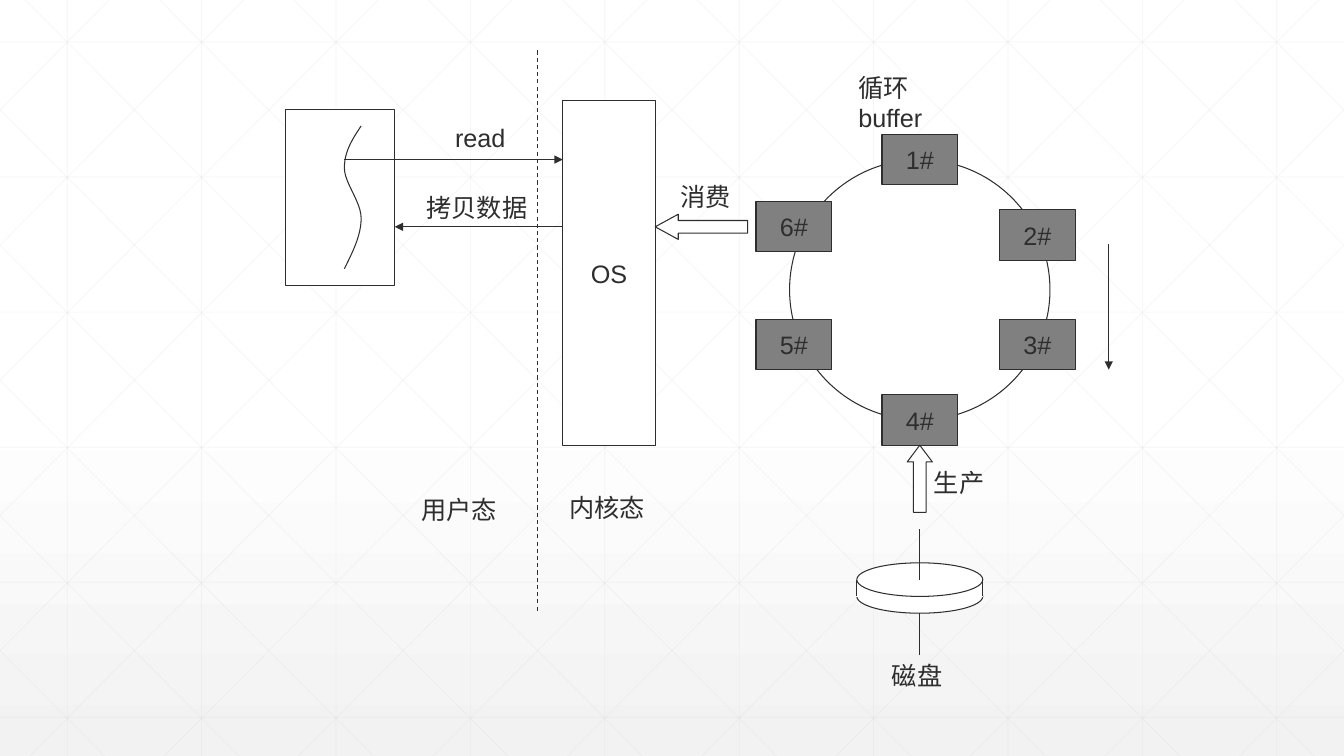
from copy import deepcopy

from lxml import etree
from pptx import Presentation
from pptx import util as u
from pptx.dml.color import RGBColor
from pptx.enum import dml, shapes, text
from pptx.oxml.ns import qn

COLS, ROWS = 160, 90
CELL = u.Inches(1) / 12
INK, PAPER, BLOCK, LATTICE = "2D2E2D", "FFFFFF", "808080", "D9D9D9"
BACKDROP = ((0, PAPER), (0.53, PAPER), (1, "F2F2F2"))
FONT = {"name": "Arial", "size": u.Pt(18)}
CENTRED = {"word_wrap": False, "vertical_anchor": text.MSO_ANCHOR.MIDDLE}
LABEL = {"word_wrap": False, "auto_size": text.MSO_AUTO_SIZE.SHAPE_TO_FIT_TEXT}
WRAPPED = {"word_wrap": True}
KIND = shapes.MSO_SHAPE


def cells(*values):
    return [u.Emu(round(v * CELL)) for v in values]


def colour(value):
    return RGBColor.from_string(value)


def apply(target, values):
    for name, value in values.items():
        setattr(target, name, value)


def stroke(item, ink=INK, width=0.75):
    item.line.color.rgb = colour(ink)
    item.line.width = u.Pt(width)


def write(item, words, frame_format, align):
    frame = item.text_frame
    apply(frame, frame_format)
    paragraph = frame.paragraphs[0]
    paragraph.text = words
    paragraph.alignment = align
    apply(paragraph.font, FONT)
    paragraph.font.color.rgb = colour(INK)


def solid(slide, kind, x, y, w, h, fill=PAPER, ink=INK, words="", adjust=()):
    item = slide.shapes.add_shape(kind, *cells(x, y, w, h))
    item.shadow.inherit = False
    item.fill.solid()
    item.fill.fore_color.rgb = colour(fill)
    stroke(item, ink)
    for i, value in enumerate(adjust):
        item.adjustments[i] = value
    if words:
        write(item, words, CENTRED, text.PP_ALIGN.CENTER)


def label(slide, words, x, y, w, frame_format=LABEL):
    item = slide.shapes.add_textbox(*cells(x, y, w, 4.8))
    write(item, words, frame_format, text.PP_ALIGN.LEFT)


def line(slide, x1, y1, x2, y2, ink=INK, width=0.75, arrow=False):
    item = slide.shapes.add_connector(shapes.MSO_CONNECTOR.STRAIGHT, *cells(x1, y1, x2, y2))
    stroke(item, ink, width)
    properties = item.element.spPr
    etree.SubElement(properties, qn("a:effectLst"))
    if arrow:
        etree.SubElement(properties.find(qn("a:ln")), qn("a:tailEnd"), type="triangle")
    return item


def backdrop(slide):
    fill = slide.background.fill
    fill.gradient()
    fill.gradient_angle = 270
    stops = next(slide.element.iter(qn("a:gsLst")))
    stops.insert(1, deepcopy(stops[0]))
    for stop, (position, shade) in zip(fill.gradient_stops, BACKDROP):
        stop.position = position
        stop.color.rgb = colour(shade)


def lattice(slide):
    step = COLS / 10
    run = 0.994
    ends = [(step * (i + 0.5), 0, step * (i + 0.5), ROWS) for i in range(10)]
    ends += [(0, 5 + 16.08 * i, COLS, 5 + 16.08 * i) for i in range(6)]
    for i in range(-5, 10):
        origin = 3 + step * i
        left, right = max(0, origin), min(COLS, origin + ROWS * run)
        top, bottom = (left - origin) / run, (right - origin) / run
        ends += [(left, top, right, bottom), (COLS - left, top, COLS - right, bottom)]
    for end in ends:
        thread = line(slide, *end, ink=LATTICE, width=0.5)
        tint = next(thread.element.spPr.iter(qn("a:srgbClr")))
        etree.SubElement(tint, qn("a:alpha"), val="25000")


def disk(slide, x, y, w):
    middle = x + w / 2
    solid(slide, KIND.OVAL, x, y + 6, w, 4)
    line(slide, middle, y + 10, middle, y + 15)
    solid(slide, KIND.RECTANGLE, x, y + 6, w, 2, ink=PAPER)
    for side in (x + w, x):
        line(slide, side, y + 6, side, y + 8)
    solid(slide, KIND.OVAL, x, y + 4, w, 4)
    line(slide, middle, y, middle, y + 6)
    label(slide, "磁盘", x + 3, y + 15, 8.4)


def ring_buffer(slide, x, y):
    solid(slide, KIND.OVAL, x + 4, y + 3, 31, 31)
    slots = ((15, 0), (29, 9), (29, 22), (15, 31), (0, 22), (0, 8))
    for number, (column, row) in enumerate(slots, 1):
        solid(slide, KIND.RECTANGLE, x + column, y + row, 9, 6, BLOCK, words=f"{number}#")
    label(slide, "循环buffer", x + 11, y - 8, 15.6, WRAPPED)
    line(slide, x + 42, y + 13, x + 42, y + 28, arrow=True)
    solid(slide, KIND.UP_ARROW, x + 18, y + 37, 3, 8, adjust=(0.5, 0.667))
    label(slide, "生产", x + 20, y + 39, 8.4)


def kernel(slide, x, y, w, h):
    solid(slide, KIND.RECTANGLE, x, y, w, h, words="OS")
    solid(slide, KIND.LEFT_ARROW, x + w, y + 13.5, 11, 3, adjust=(0.5, 0.917))
    label(slide, "消费", x + 12.8, y + 9, 8.4)
    border = line(slide, x - 3, y - 6, x - 3, y + 61)
    border.line.dash_style = dml.MSO_LINE.DASH
    label(slide, "内核态", x - 0.4, y + 46, 11.4)
    label(slide, "用户态", x - 18, y + 46.2, 11.4)


def curve(points, steps=12):
    for first in range(0, len(points) - 1, 3):
        for i in range(1, steps + 1):
            t = i / steps
            weights = ((1 - t) ** 3, 3 * t * (1 - t) ** 2, 3 * t * t * (1 - t), t ** 3)
            part = points[first:first + 4]
            yield cells(*(sum(k * p[axis] for k, p in zip(weights, part)) for axis in (0, 1)))


def process(slide, x, y, w, h, kernel_side):
    solid(slide, KIND.RECTANGLE, x, y, w, h)
    bends = ((9, 2), (8, 3.5), (7, 5), (7, 7), (7, 8.8), (9, 11), (9, 13), (9, 15), (8, 17), (7, 19))
    points = [(x + column, y + row) for column, row in bends]
    builder = slide.shapes.build_freeform(*cells(*points[0]))
    builder.add_line_segments(list(curve(points)), close=False)
    thread = builder.convert_to_shape()
    thread.shadow.inherit = False
    thread.fill.background()
    stroke(thread)
    line(slide, x + 7, y + 6, kernel_side, y + 6, arrow=True)
    label(slide, "read", x + 19, y + 1, 8.4)
    line(slide, kernel_side, y + 14, x + w, y + 14, arrow=True)
    label(slide, "拷贝数据", x + 15.6, y + 9.3, 14.4)


def main():
    deck = Presentation()
    deck.slide_width, deck.slide_height = cells(COLS, ROWS)
    slide = deck.slides.add_slide(deck.slide_layouts[6])
    backdrop(slide)
    lattice(slide)
    disk(slide, 102, 63, 15)
    ring_buffer(slide, 90, 16)
    kernel(slide, 67, 12, 11, 41)
    process(slide, 34, 13, 13, 21, kernel_side=67)
    deck.save("out.pptx")


if __name__ == "__main__":
    main()
